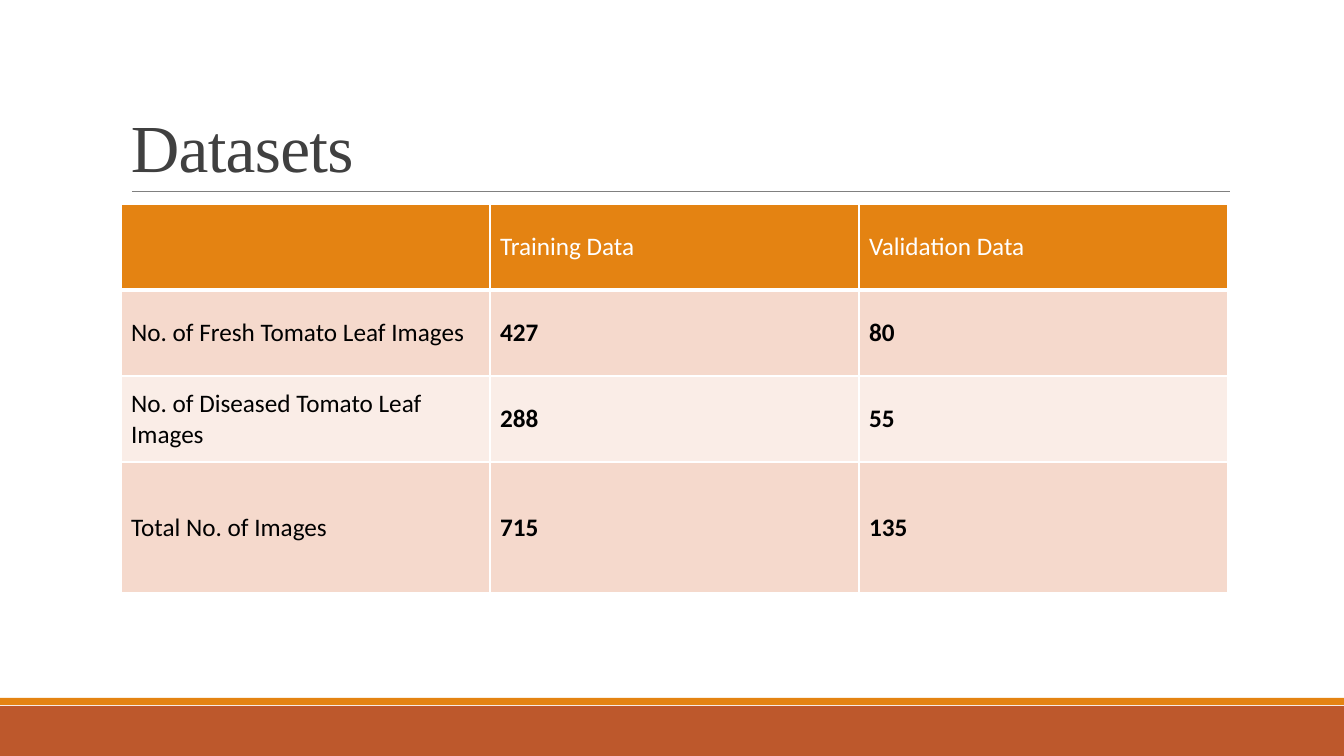
from lxml import etree
from pptx import Presentation
from pptx import util as u
from pptx.dml.color import RGBColor
from pptx.enum import shapes, text
from pptx.oxml.ns import qn

PX = 914400 / 100.8
COLOURS = {
    "rust": "BD582C", "orange": "E48312", "rule": "808080", "title": "404040",
    "white": "FFFFFF", "black": "000000", "band_dark": "F5D9CC", "band_light": "FAEDE7",
}
ROWS = [
    ["", "Training Data", "Validation Data"],
    ["No. of Fresh Tomato Leaf Images", "427", "80"],
    ["No. of Diseased Tomato Leaf Images", "288", "55"],
    ["Total No. of Images", "715", "135"],
]
ROW_HEIGHTS = [86, 86, 86, 131]
COLUMN_WIDTH = 369


def px(length):
    return u.Emu(round(length * PX))


def colour(name):
    return RGBColor.from_string(COLOURS[name])


def add_band(page, top, height, fill):
    band = page.shapes.add_shape(
        shapes.MSO_SHAPE.RECTANGLE, 0, px(top), px(1344), px(height))
    band.shadow.inherit = False
    band.fill.solid()
    band.fill.fore_color.rgb = colour(fill)
    band.line.fill.background()


def add_rule(page, left, right, y):
    rule = page.shapes.add_connector(
        shapes.MSO_CONNECTOR.STRAIGHT, px(left), px(y), px(right), px(y))
    rule.line.color.rgb = colour("rule")
    rule.line.width = u.Pt(0.5)
    etree.SubElement(rule._element.spPr, qn("a:effectLst"))


def add_title(page, words):
    box = page.shapes.add_textbox(px(121), px(31), px(1109), px(160))
    frame = box.text_frame
    frame.word_wrap = True
    frame.vertical_anchor = text.MSO_ANCHOR.BOTTOM
    frame.text = words
    para = frame.paragraphs[0]
    para.line_spacing = 0.85
    span = para.runs[0]
    span.font.size = u.Pt(48)
    span.font.name = "Times New Roman"
    span.font.color.rgb = colour("title")
    span._r.get_or_add_rPr().set("spc", "-50")


def set_borders(cell, top, bottom):
    """Draw white cell edges; top and bottom are widths in points."""
    properties = cell._tc.get_or_add_tcPr()
    for side, width in (("L", 1), ("R", 1), ("T", top), ("B", bottom)):
        edge = etree.SubElement(properties, qn(f"a:ln{side}"), w=str(u.Pt(width)))
        fill = etree.SubElement(edge, qn("a:solidFill"))
        etree.SubElement(fill, qn("a:srgbClr"), val=COLOURS["white"])


def fill_cell(cell, words, row, column):
    set_borders(cell, 3 if row == 1 else 1, 3 if row == 0 else 1)
    cell.fill.solid()
    band = "band_dark" if row % 2 else "band_light"
    cell.fill.fore_color.rgb = colour(band if row else "orange")
    cell.vertical_anchor = text.MSO_ANCHOR.MIDDLE
    cell.text = words
    font = cell.text_frame.paragraphs[0].font
    font.size = u.Pt(18)
    font.name = "Calibri"
    font.bold = row > 0 and column > 0
    font.color.rgb = colour("black" if row else "white")


def add_data_table(page):
    columns = len(ROWS[0])
    table = page.shapes.add_table(
        len(ROWS), columns, px(121), px(204),
        px(columns * COLUMN_WIDTH), px(sum(ROW_HEIGHTS))).table
    for column in table.columns:
        column.width = px(COLUMN_WIDTH)
    for row, (height, entries) in enumerate(zip(ROW_HEIGHTS, ROWS)):
        table.rows[row].height = px(height)
        for column, words in enumerate(entries):
            fill_cell(table.cell(row, column), words, row, column)


def main():
    deck = Presentation()
    deck.slide_width, deck.slide_height = px(1344), px(756)
    page = deck.slides.add_slide(deck.slide_layouts[6])
    add_band(page, 706, 50, "rust")
    add_band(page, 698, 7, "orange")
    add_rule(page, 132, 1230, 191)
    add_title(page, "Datasets")
    add_data_table(page)
    deck.save("out.pptx")


if __name__ == "__main__":
    main()
